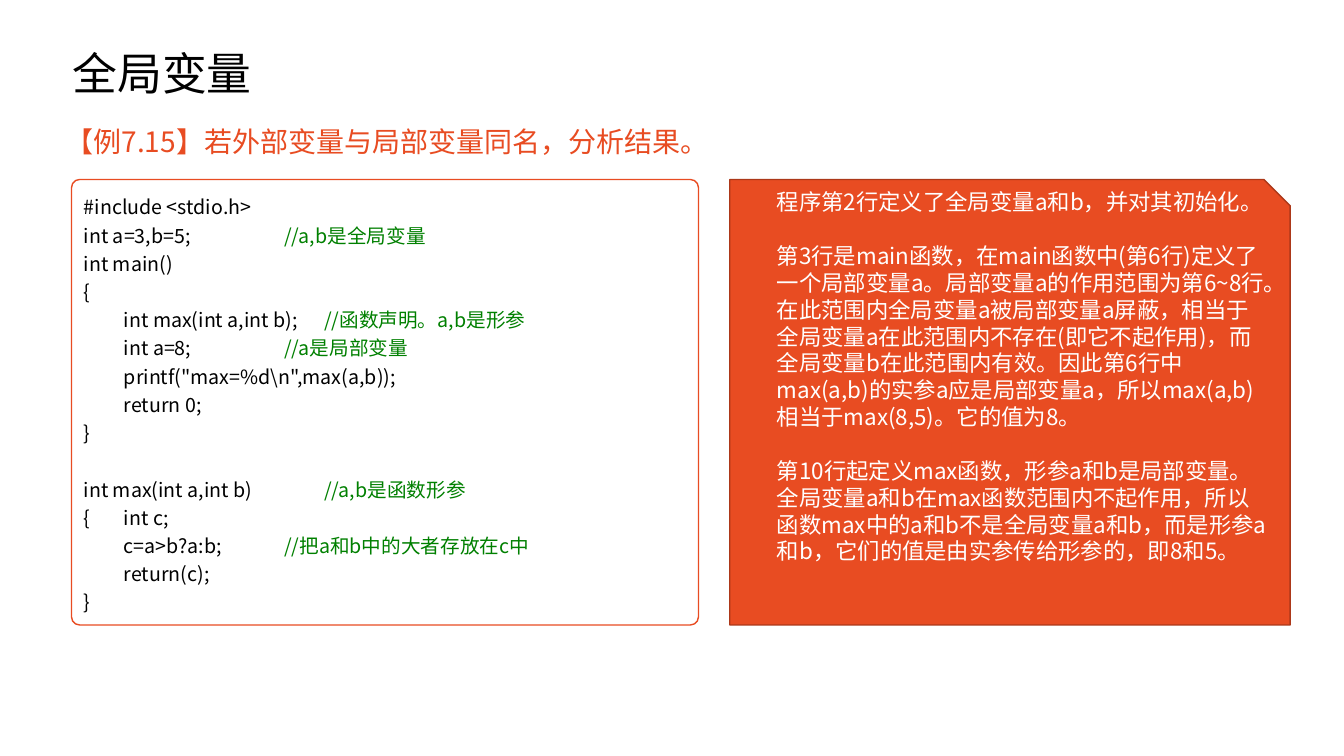
from pptx import Presentation
from pptx.dml.color import RGBColor
from pptx.enum.shapes import MSO_SHAPE
from pptx.enum.text import MSO_ANCHOR, MSO_AUTO_SIZE, PP_ALIGN
from pptx.oxml.ns import qn
from pptx.util import Pt
from lxml.etree import SubElement

# Content
TITLE = "全局变量"
LEAD = "【例7.15】若外部变量与局部变量同名，分析结果。"
# Each block of code is a list of (code, comment) lines
CODE = [
    [
        ("#include <stdio.h>", ""),
        ("int a=3,b=5;\t\t\t", "//a,b是全局变量"),
        ("int main()", ""),
        ("{", ""),
        ("\tint max(int a,int b);\t", "//函数声明。a,b是形参"),
        ("\tint a=8;\t\t\t", "//a是局部变量"),
        ('\tprintf("max=%d\\n",max(a,b));', ""),
        ("\treturn 0;", ""),
        ("}", ""),
    ],
    [
        ("int max(int a,int b)\t\t", "//a,b是函数形参"),
        ("{\tint c;", ""),
        ("\tc=a>b?a:b;\t\t", "//把a和b中的大者存放在c中"),
        ("\treturn(c);", ""),
        ("}", ""),
    ],
]
NOTES = [
    "程序第2行定义了全局变量a和b，并对其初始化。",
    "第3行是main函数，在main函数中(第6行)定义了一个局部变量a。"
    "局部变量a的作用范围为第6~8行。在此范围内全局变量a被局部变量a屏蔽，"
    "相当于全局变量a在此范围内不存在(即它不起作用)，而全局变量b在此范围内有效。"
    "因此第6行中max(a,b)的实参a应是局部变量a，所以max(a,b)相当于max(8,5)。它的值为8。",
    "第10行起定义max函数，形参a和b是局部变量。全局变量a和b在max函数范围内不起作用，"
    "所以函数max中的a和b不是全局变量a和b，而是形参a和b，"
    "它们的值是由实参传给形参的，即8和5。",
]

# Style
FONT = "Noto Sans CJK SC"
HUES = {"ink": "000000", "accent": "E84C22", "edge": "AC3819",
        "note": "008000", "paper": "FFFFFF"}
TAB, STOPS = 28.6, 6
TOP, HIGH = 128.2, 318.2  # shared by both panels


def hue(name):
    return RGBColor.from_string(HUES[name])


def add_line(frame, parts, size, pitch, gap=0, first=False, tabs=False):
    """Write one paragraph from (text, hue) parts."""
    para = frame.paragraphs[0] if first else frame.add_paragraph()
    if tabs:
        stops = SubElement(para._p.get_or_add_pPr(), qn("a:tabLst"))
        for n in range(1, STOPS + 1):
            SubElement(stops, qn("a:tab"), pos=str(Pt(TAB * n)), algn="l")
    form = {"alignment": PP_ALIGN.LEFT, "line_spacing": Pt(pitch),
            "space_before": Pt(gap), "space_after": Pt(0)}
    for key, val in form.items():
        setattr(para, key, val)
    for text, name in parts:
        if not text:
            continue
        run = para.add_run()
        run.text = text
        for key, val in {"size": Pt(size), "name": FONT, "bold": False}.items():
            setattr(run.font, key, val)
        run.font.color.rgb = hue(name)
        SubElement(run._r.get_or_add_rPr(), qn("a:ea"), typeface=FONT)


def set_frame(shape, anchor, fit=MSO_AUTO_SIZE.NONE):
    frame = shape.text_frame
    form = {"word_wrap": True, "vertical_anchor": anchor, "auto_size": fit}
    for key, val in form.items():
        setattr(frame, key, val)
    return frame


def add_panel(slide, kind, left, wide, adj, fill, edge):
    shape = slide.shapes.add_shape(kind, Pt(left), Pt(TOP), Pt(wide), Pt(HIGH))
    shape.adjustments[0] = adj
    shape.shadow.inherit = False
    shape.fill.solid()
    shape.fill.fore_color.rgb = hue(fill)
    shape.line.color.rgb = hue(edge)
    shape.line.width = Pt(1)
    return shape


def main():
    deck = Presentation()
    deck.slide_width, deck.slide_height = Pt(960), Pt(540)
    slide = deck.slides.add_slide(deck.slide_layouts[5])

    # Title
    title = slide.shapes.title
    spot = {"left": 44.6, "top": 1.4, "width": 828, "height": 104.4}
    for key, val in spot.items():
        setattr(title, key, Pt(val))
    frame = set_frame(title, MSO_ANCHOR.MIDDLE)
    add_line(frame, [(TITLE, "ink")], 32, 34.6, first=True)

    # Example heading
    lead = slide.shapes.add_textbox(Pt(32.4), Pt(80.6), Pt(864), Pt(43.2))
    frame = set_frame(lead, MSO_ANCHOR.TOP)
    frame.margin_left = Pt(14.4)
    frame.margin_top = Pt(3.6)
    add_line(frame, [(LEAD, "accent")], 20, 28.8, first=True)

    # Code panel
    panel = add_panel(slide, MSO_SHAPE.ROUNDED_RECTANGLE, 51.1, 447.8, 0.018,
                      "paper", "accent")
    frame = set_frame(panel, MSO_ANCHOR.MIDDLE)
    for b, block in enumerate(CODE):
        for n, (code, note) in enumerate(block):
            add_line(frame, [(code, "ink"), (note, "note")], 14, 20.16,
                     gap=20.16 if b and not n else 0,
                     first=not b and not n, tabs=True)

    # Explanation panel
    add_panel(slide, MSO_SHAPE.SNIP_1_RECTANGLE, 521.3, 400.3, 0.059,
              "accent", "edge")
    box = slide.shapes.add_textbox(Pt(547.9), Pt(131), Pt(367.2), Pt(278.6))
    frame = set_frame(box, MSO_ANCHOR.TOP, MSO_AUTO_SIZE.SHAPE_TO_FIT_TEXT)
    for n, text in enumerate(NOTES):
        add_line(frame, [(text, "paper")], 16, 19.2, gap=19.2 if n else 0,
                 first=not n)

    deck.save("out.pptx")


if __name__ == "__main__":
    main()
